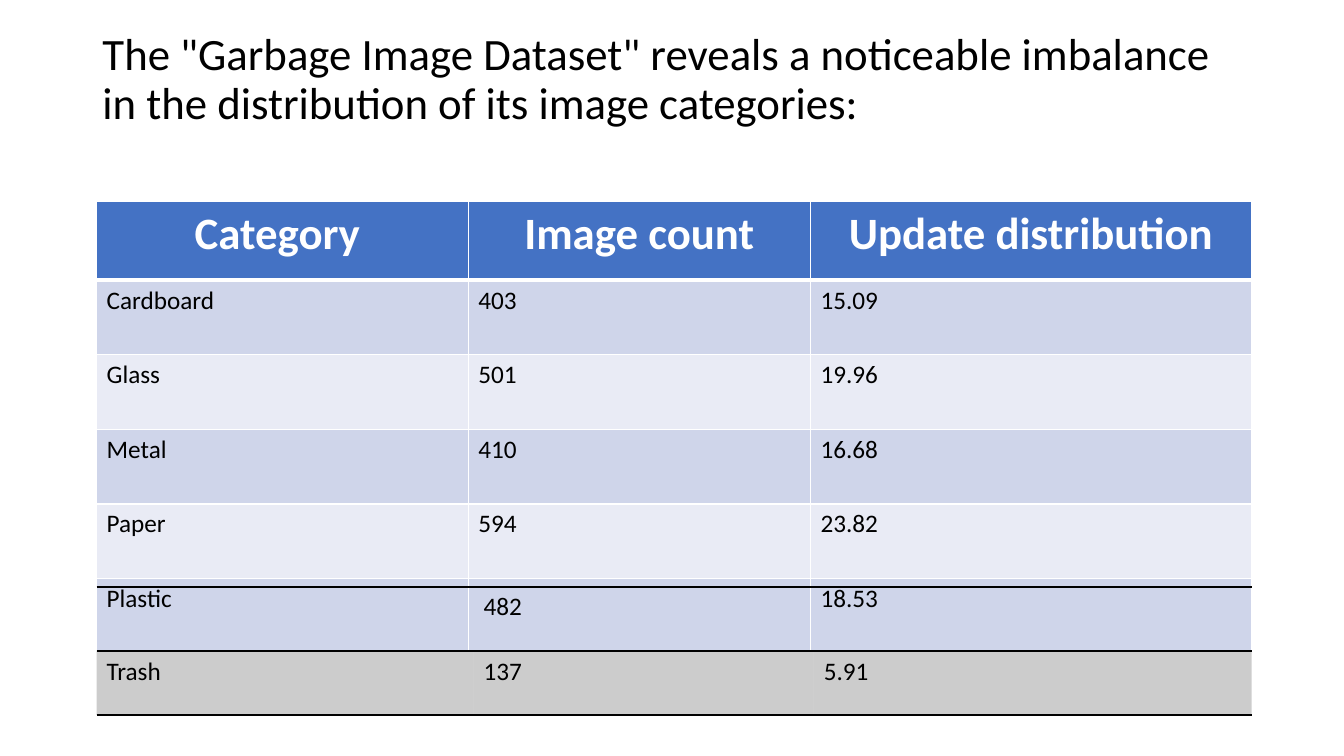
import pptx
import pptx.dml.color
import pptx.enum.text
import pptx.oxml
import pptx.oxml.ns
import pptx.util

RGBColor = pptx.dml.color.RGBColor
ALIGN = pptx.enum.text.PP_ALIGN
ANCHOR = pptx.enum.text.MSO_ANCHOR
AUTO_SIZE = pptx.enum.text.MSO_AUTO_SIZE

BLACK = RGBColor(0x00, 0x00, 0x00)
WHITE = RGBColor(0xFF, 0xFF, 0xFF)
HEADER_BLUE = RGBColor(0x44, 0x72, 0xC4)
BAND_DARK = RGBColor(0xCF, 0xD5, 0xEA)
BAND_LIGHT = RGBColor(0xE9, 0xEB, 0xF5)

PX = 9525  # EMU in one pixel at 96 to the inch
TITLE = ('The "Garbage Image Dataset" reveals a noticeable imbalance '
         'in the distribution of its image categories:')
HEADINGS = ["Category ", "Image count", "Update distribution"]
CATEGORIES = [
    ["Cardboard", "403", "15.09"],
    ["Glass", "501", "19.96"],
    ["Metal", "410", "16.68"],
    ["Paper", "594", "23.82"],
    ["Plastic", "", "18.53"],
]
OVERLAY = [["", "482", ""], ["Trash", "137", "5.91"]]


def set_all(target, values):
    for name, value in values.items():
        setattr(target, name, value)


class SlideBuilder:
    font = "Calibri"
    heading_size = 32
    body_size = 18

    def __init__(self, deck):
        self.page = deck.slides.add_slide(deck.slide_layouts[5])

    def put_text(self, frame, text, size, color=BLACK, bold=False, align=ALIGN.LEFT):
        para = frame.paragraphs[0]
        para.alignment = align
        if text:
            span = para.add_run()
            span.text = text
            set_all(span.font, {"name": self.font, "size": pptx.util.Pt(size), "bold": bold})
            span.font.color.rgb = color
        return para

    def title(self, text, left, top, width, height):
        box = self.page.shapes.title
        set_all(box, {"left": left * PX, "top": top * PX,
                      "width": width * PX, "height": height * PX})
        set_all(box.text_frame, {"word_wrap": True, "auto_size": AUTO_SIZE.NONE,
                                 "vertical_anchor": ANCHOR.MIDDLE})
        self.put_text(box.text_frame, text, self.heading_size).line_spacing = 0.9

    def table(self, left, top, columns, rows):
        """Add an unstyled table from column widths and row heights."""
        frame = self.page.shapes.add_table(
            len(rows), len(columns), left * PX, top * PX, sum(columns) * PX, sum(rows) * PX)
        grid = frame.table
        set_all(grid, {"first_row": False, "horz_banding": False})
        for column, width in zip(grid.columns, columns):
            column.width = width * PX
        for row, height in zip(grid.rows, rows):
            row.height = height * PX
        return grid

    def row(self, grid, index, texts, fill, borders, alpha=100, **style):
        for cell, text in zip(grid.rows[index].cells, texts):
            self.put_text(cell.text_frame, text, **style)
            if fill is None:
                cell.fill.background()
            else:
                cell.fill.solid()
                cell.fill.fore_color.rgb = fill
            self.set_alpha(cell, alpha)
            self.set_borders(cell, borders)

    def set_alpha(self, cell, percent):
        if percent < 100:
            color = cell._tc.tcPr.find(".//" + pptx.oxml.ns.qn("a:srgbClr"))
            color.append(pptx.oxml.parse_xml(
                f'<a:alpha {pptx.oxml.ns.nsdecls("a")} val="{percent * 1000}"/>'))

    def set_borders(self, cell, borders):
        """Draw the sides given as {side: (color, points)} and clear the others."""
        for place, side in enumerate("LRTB"):
            color, points = borders.get(side, (None, 0))
            paint = ("<a:noFill/>" if color is None else
                     f'<a:solidFill><a:srgbClr val="{color}"/></a:solidFill>')
            cell._tc.tcPr.insert(place, pptx.oxml.parse_xml(
                f'<a:ln{side} {pptx.oxml.ns.nsdecls("a")} w="{pptx.util.Pt(points)}">'
                f"{paint}</a:ln{side}>"))


def main():
    deck = pptx.Presentation()
    set_all(deck, {"slide_width": 1280 * PX, "slide_height": 720 * PX})
    builder = SlideBuilder(deck)
    builder.title(TITLE, 88, 20, 1104, 113)

    thin_white = dict.fromkeys("LRTB", (WHITE, 1))
    under_header = (WHITE, 3)
    counts = builder.table(92, 192, [354, 326, 420], [75] + [71] * len(CATEGORIES))
    builder.row(counts, 0, HEADINGS, HEADER_BLUE, {**thin_white, "B": under_header},
                size=builder.heading_size, color=WHITE, bold=True, align=ALIGN.CENTER)
    for index, texts in enumerate(CATEGORIES, start=1):
        fill = BAND_DARK if index % 2 else BAND_LIGHT
        borders = {**thin_white, "T": under_header} if index == 1 else thin_white
        builder.row(counts, index, texts, fill, borders, size=builder.body_size)

    black_rules = dict.fromkeys("TB", (BLACK, 1))
    overlay = builder.table(92, 559, [359, 324, 417], [61, 61])
    for index, (texts, fill, alpha) in enumerate(zip(OVERLAY, [None, BLACK], [100, 20])):
        builder.row(overlay, index, texts, fill, black_rules,
                    alpha=alpha, size=builder.body_size)

    deck.save("out.pptx")


if __name__ == "__main__":
    main()
